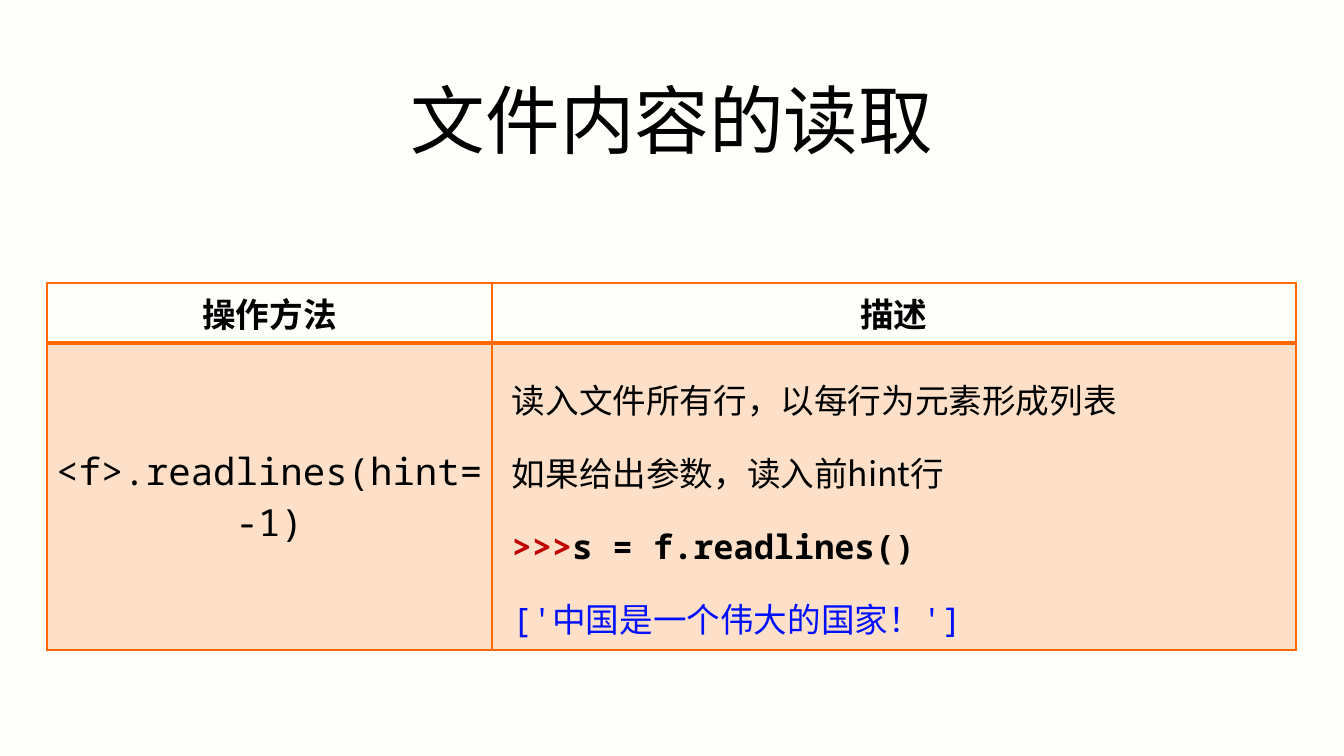
from dataclasses import dataclass

from lxml.etree import SubElement
from pptx import Presentation
from pptx.dml.color import RGBColor
from pptx.enum.text import MSO_ANCHOR as Anchor, PP_ALIGN as Align
from pptx.oxml import parse_xml
from pptx.oxml.ns import nsdecls, qn
from pptx.util import Pt


@dataclass(frozen=True)
class Theme:
    background: str = "FEFEFA"
    text: str = "000000"
    accent: str = "FF6900"
    prompt: str = "C00000"
    output: str = "0010FF"
    sans: str = "Noto Sans CJK SC"
    mono: str = "Noto Sans Mono"
    title_size: int = 40
    method_size: int = 20
    body_size: int = 18
    tint_percent: int = 20
    thin: int = 1
    thick: int = 2


theme = Theme()

# Content: each line is (line spacing, runs), each run is (text, style)
TITLE = "文件内容的读取"
HEADERS = ["操作方法", "描述"]
METHOD = "<f>.readlines(hint=-1)"
DESCRIPTION = [
    (1.5, [("读入文件所有行，以每行为元素形成列表", {})]),
    (1.5, [("如果给出参数，读入前hint行", {})]),
    (1.6, [(">>>", {"font": theme.mono, "color": theme.prompt, "bold": True}),
           ("s = f.readlines()", {"font": theme.mono, "bold": True})]),
    (1.6, [("['中国是一个伟大的国家！']", {"font": theme.mono, "color": theme.output})]),
]

# Layout in px
SLIDE = (1344, 756)
TITLE_BOX = (0, 71, 1344, 117)
TABLE_LEFT, TABLE_TOP = 47, 283
COLUMNS = [445, 804]
ROWS = [60, 307]
CELL_SIDE, CELL_END, DESCRIPTION_INDENT = 5, 3, 20


def px(value):
    return round(value * 914400 / 134.4)


def add_run(paragraph, text, size=theme.body_size, font=theme.sans,
            color=theme.text, bold=False):
    run = paragraph.add_run()
    run.text = text
    run.font.size = Pt(size)
    run.font.bold = bold
    run.font.color.rgb = RGBColor.from_string(color)
    run.font.name = font
    SubElement(run.font._element, qn("a:ea"), typeface=font)


def write_lines(frame, lines, align):
    for index, (spacing, runs) in enumerate(lines):
        paragraph = frame.add_paragraph() if index else frame.paragraphs[0]
        paragraph.alignment = align
        paragraph.line_spacing = spacing
        for text, style in runs:
            add_run(paragraph, text, **style)


def format_cell(cell, left, top_width, bottom_width, tinted):
    cell.vertical_anchor = Anchor.MIDDLE
    cell.margin_left, cell.margin_right = px(left), px(CELL_SIDE)
    cell.margin_top = cell.margin_bottom = px(CELL_END)
    if tinted:
        cell.fill.solid()
        cell.fill.fore_color.rgb = RGBColor.from_string(theme.accent)
    else:
        cell.fill.background()
    properties = cell._tc.get_or_add_tcPr()
    for color in properties.iter(qn("a:srgbClr")):
        SubElement(color, qn("a:alpha"), val=str(theme.tint_percent * 1000))
    # Borders come before the fill in the cell properties
    widths = {"L": theme.thin, "R": theme.thin, "T": top_width, "B": bottom_width}
    for index, (side, width) in enumerate(widths.items()):
        properties.insert(index, parse_xml(
            f'<a:ln{side} {nsdecls("a")} w="{Pt(width)}"><a:solidFill>'
            f'<a:srgbClr val="{theme.accent}"/></a:solidFill></a:ln{side}>'))


# Slide
presentation = Presentation()
presentation.slide_width, presentation.slide_height = map(px, SLIDE)
slide = presentation.slides.add_slide(presentation.slide_layouts[6])
slide.background.fill.solid()
slide.background.fill.fore_color.rgb = RGBColor.from_string(theme.background)

# Title
title_frame = slide.shapes.add_textbox(*map(px, TITLE_BOX)).text_frame
title_frame.word_wrap = True
title_frame.vertical_anchor = Anchor.MIDDLE
title_frame.margin_left = title_frame.margin_right = 0
title_frame.margin_top = title_frame.margin_bottom = 0
write_lines(title_frame, [(0.7, [(TITLE, {"size": theme.title_size})])], Align.CENTER)

# Table
table = slide.shapes.add_table(
    len(ROWS), len(COLUMNS), px(TABLE_LEFT), px(TABLE_TOP),
    px(sum(COLUMNS)), px(sum(ROWS))).table
table.first_row = table.horz_banding = False
for column, width in zip(table.columns, COLUMNS):
    column.width = px(width)
for row, height in zip(table.rows, ROWS):
    row.height = px(height)

for index, header in enumerate(HEADERS):
    cell = table.cell(0, index)
    format_cell(cell, CELL_SIDE, theme.thin, theme.thick, tinted=False)
    write_lines(cell.text_frame, [(1.0, [(header, {"bold": True})])], Align.CENTER)

method_style = {"font": theme.mono, "size": theme.method_size}
body = [
    ([(1.0, [(METHOD, method_style)])], Align.CENTER, CELL_SIDE),
    (DESCRIPTION, Align.LEFT, DESCRIPTION_INDENT),
]
for index, (lines, align, left) in enumerate(body):
    cell = table.cell(1, index)
    format_cell(cell, left, theme.thick, theme.thin, tinted=True)
    write_lines(cell.text_frame, lines, align)

presentation.save("out.pptx")
